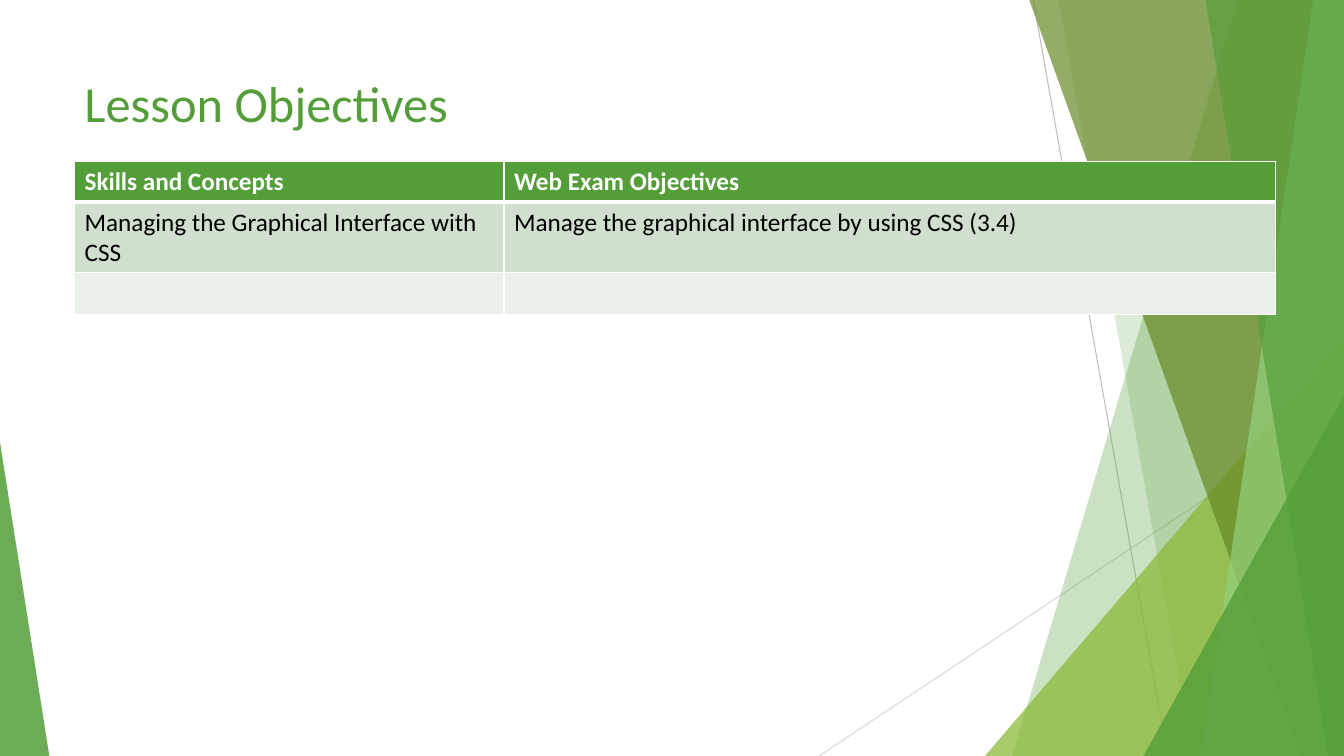
from dataclasses import dataclass

from lxml import etree
from pptx import Presentation
from pptx import util as u
from pptx.dml.color import RGBColor
from pptx.enum import shapes, text
from pptx.oxml import ns

TITLE = "Lesson Objectives"
ROWS = [
    ("Skills and Concepts", "Web Exam Objectives"),
    ("Managing the Graphical Interface with CSS",
     "Manage the graphical interface by using CSS (3.4)"),
    ("", ""),
]


@dataclass(frozen=True)
class Theme:
    font: str = "Calibri"
    title_size: int = 36
    body_size: int = 18
    green: str = "549E39"
    lime: str = "8AB833"
    olive: str = "678A26"
    mint: str = "93D07D"
    line_dark: str = "BFBFBF"
    line_light: str = "D9D9D9"
    white: str = "FFFFFF"
    black: str = "000000"
    band_dark: str = "D1DFCE"
    band_light: str = "E9F0E8"


T = Theme()
W, H = 1280, 720
PX = 9525

LINES = [
    ((984, 0), (1112, H), T.line_dark),
    ((W, 387), (780, H), T.line_light),
]
FACETS = [
    ("band", (1179, 964), T.green, 30),
    ("band", (1008, 1136), T.green, 20),
    ("triangle", (938, 320, 342, 400, 1), T.lime, 72),
    ("band", (980, 1239), T.olive, 70),
    ("band", (1251, 1144), T.mint, 70),
    ("band", (1148, 1265), T.green, 65),
    ("triangle", (1089, 377, 191, 343, 1), T.green, 80),
    ("triangle", (0, 421, 47, 299, 0), T.green, 85),
]
TITLE_BOX = (71, 64, 902, 138)
TABLE_AT = (71, 154)
COL_WIDTHS = (409, 735)
ROW_HEIGHTS = (38, 67, 40)
ROW_FILLS = (T.green, T.band_dark, T.band_light)


def emu(*lengths):
    return [u.Emu(n * PX) for n in lengths]


def rgb(color):
    return RGBColor.from_string(color)


def add_line(s, start, end, color):
    c = s.shapes.add_connector(shapes.MSO_CONNECTOR.STRAIGHT, *emu(*start, *end))
    c.line.color.rgb = rgb(color)
    c.line.width = u.Pt(0.75)
    etree.SubElement(c._element.spPr, ns.qn("a:effectLst"))


def add_band(s, top, bottom):
    fb = s.shapes.build_freeform(top, -1, scale=PX)
    fb.add_line_segments([(W, -1), (W, H), (bottom, H)], close=True)
    return fb.convert_to_shape()


def add_triangle(s, x, y, w, h, apex):
    sp = s.shapes.add_shape(shapes.MSO_SHAPE.ISOSCELES_TRIANGLE, *emu(x, y, w, h))
    sp.adjustments[0] = apex
    return sp


def add_facet(s, kind, geometry, color, opacity):
    sp = {"band": add_band, "triangle": add_triangle}[kind](s, *geometry)
    sp.shadow.inherit = False
    sp.fill.solid()
    sp.fill.fore_color.rgb = rgb(color)
    sp.line.fill.background()
    clr = sp._element.spPr.find(ns.qn("a:solidFill")).find(ns.qn("a:srgbClr"))
    etree.SubElement(clr, ns.qn("a:alpha"), val=str(opacity * 1000))


def add_run(p, words, size, color, bold=False):
    r = p.add_run()
    r.text = words
    r.font.name = T.font
    r.font.size = u.Pt(size)
    r.font.bold = bold
    r.font.color.rgb = rgb(color)


def add_title(s):
    tf = s.shapes.add_textbox(*emu(*TITLE_BOX)).text_frame
    tf.word_wrap = True
    tf.vertical_anchor = text.MSO_ANCHOR.TOP
    add_run(tf.paragraphs[0], TITLE, T.title_size, T.green)


def set_borders(cell, top, bottom):
    tc_pr = cell._tc.get_or_add_tcPr()
    for side, width in (("L", 1), ("R", 1), ("T", top), ("B", bottom)):
        ln = etree.SubElement(tc_pr, ns.qn(f"a:ln{side}"), w=str(u.Pt(width)))
        fill = etree.SubElement(ln, ns.qn("a:solidFill"))
        etree.SubElement(fill, ns.qn("a:srgbClr"), val=T.white)


def add_objectives(s):
    size = (sum(COL_WIDTHS), sum(ROW_HEIGHTS))
    table = s.shapes.add_table(
        len(ROWS), len(COL_WIDTHS), *emu(*TABLE_AT, *size)).table
    for col, width in zip(table.columns, emu(*COL_WIDTHS)):
        col.width = width
    for row, height in zip(table.rows, emu(*ROW_HEIGHTS)):
        row.height = height
    for i, (words, fill) in enumerate(zip(ROWS, ROW_FILLS)):
        header = i == 0
        for j, word in enumerate(words):
            cell = table.cell(i, j)
            set_borders(cell, 3 if i == 1 else 1, 3 if header else 1)
            cell.fill.solid()
            cell.fill.fore_color.rgb = rgb(fill)
            p = cell.text_frame.paragraphs[0]
            p.font.size = u.Pt(T.body_size)
            if word:
                add_run(p, word, T.body_size, T.white if header else T.black, header)


def main():
    prs = Presentation()
    prs.slide_width, prs.slide_height = emu(W, H)
    s = prs.slides.add_slide(prs.slide_layouts[6])
    for line in LINES:
        add_line(s, *line)
    for facet in FACETS:
        add_facet(s, *facet)
    add_title(s)
    add_objectives(s)
    prs.save("out.pptx")


if __name__ == "__main__":
    main()
